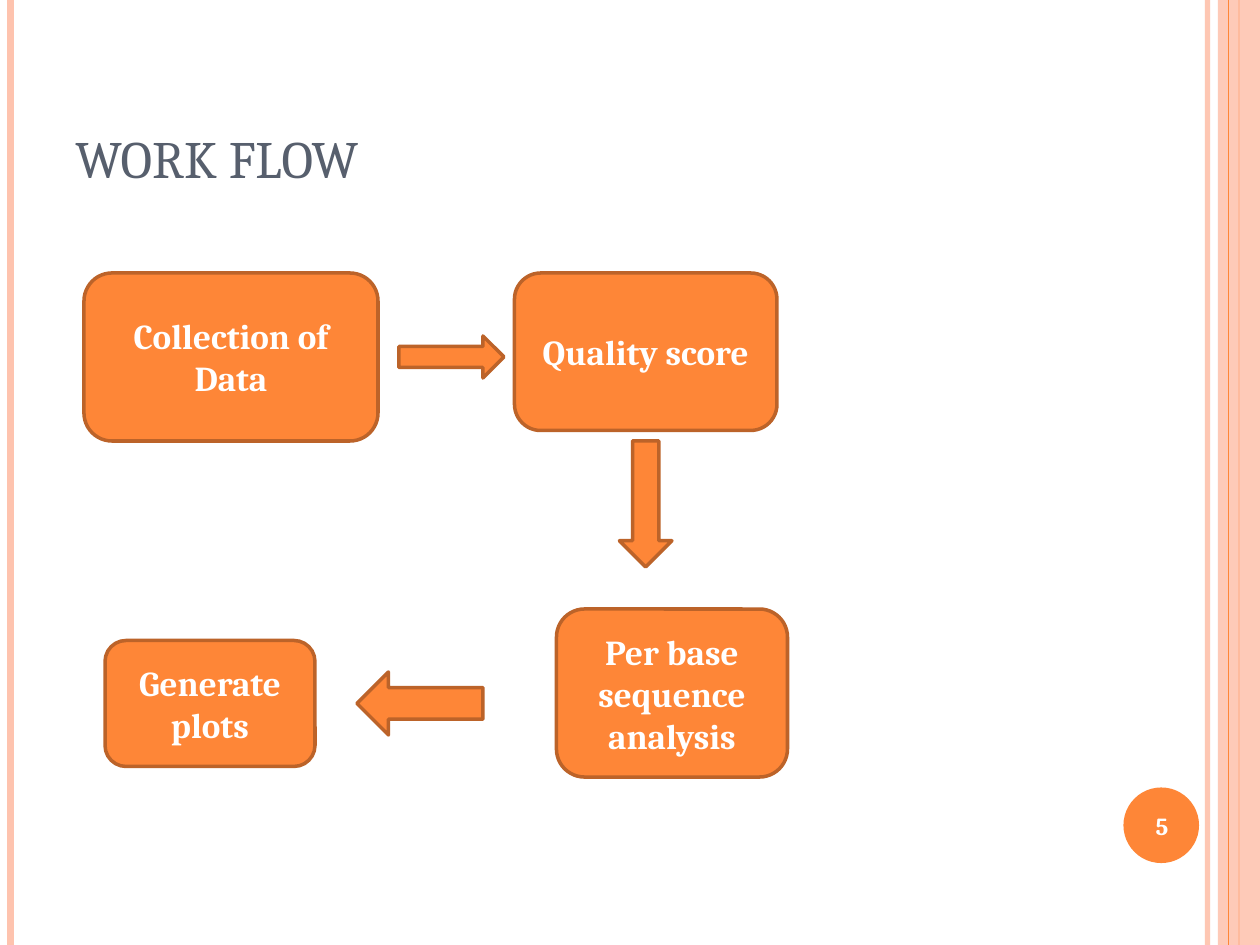
"""Build the work flow slide with its boxes, arrows and side stripes."""
from dataclasses import dataclass

from lxml import etree
from pptx import Presentation
from pptx.dml import color
from pptx.enum import shapes, text
from pptx.oxml import ns
from pptx.util import Pt

ORANGE, BROWN, PEACH = "FE8637", "BC6329", "FEC3AE"
WHITE, SLATE = "FFFFFF", "575F6D"
FONT = "Cambria"
WIDTH, HEIGHT = 720, 540
KIND = shapes.MSO_SHAPE
ALIGN, ANCHOR = text.PP_ALIGN, text.MSO_ANCHOR


@dataclass
class Stripe:
    x: float
    width: float
    colour: str
    opacity: int = 100


@dataclass
class Block:
    kind: KIND
    left: float
    top: float
    width: float
    height: float
    label: str = ""


BACK_STRIPES = [
    Stripe(690, 3, PEACH, 93),
    Stripe(6, 4.5, PEACH),
    Stripe(708, 1.5, ORANGE),
]
FRONT_STRIPE = Stripe(702, 0.75, ORANGE)
BAND = Block(KIND.RECTANGLE, 696, 0, 24, HEIGHT)
BADGE = Block(KIND.OVAL, 642, 450, 43.2, 43.2)
FLOW = [
    Block(KIND.ROUNDED_RECTANGLE, 48, 156, 168, 96, "Collection of Data"),
    Block(KIND.RIGHT_ARROW, 228, 192, 60, 24),
    Block(KIND.ROUNDED_RECTANGLE, 294, 156, 150, 90, "Quality score"),
    Block(KIND.ROUNDED_RECTANGLE, 318, 348, 132, 96, "Per base sequence analysis"),
    Block(KIND.DOWN_ARROW, 354, 252, 30, 72),
    Block(KIND.LEFT_ARROW, 204, 384, 72, 36),
    Block(KIND.ROUNDED_RECTANGLE, 60, 366, 120, 72, "Generate plots"),
]


def paint(fmt, colour: str, opacity: int = 100) -> None:
    fmt.solid()
    fmt.fore_color.rgb = color.RGBColor.from_string(colour)
    if opacity < 100:
        clr = fmt._xPr.find(ns.qn("a:solidFill"))[0]
        etree.SubElement(clr, ns.qn("a:alpha"), val=str(opacity * 1000))


def write(sp, label: str, size: float, colour: str, bold: bool, align, anchor) -> None:
    tf = sp.text_frame
    tf.text = label
    tf.word_wrap = True
    tf.vertical_anchor = anchor
    p = tf.paragraphs[0]
    p.alignment = align
    font = p.runs[0].font
    font.name, font.size, font.bold = FONT, Pt(size), bold
    paint(font.fill, colour)


def add_stripe(s, stripe: Stripe) -> None:
    x = Pt(stripe.x)
    sp = s.shapes.add_connector(shapes.MSO_CONNECTOR.STRAIGHT, x, 0, x, Pt(HEIGHT))
    sp.line.width = Pt(stripe.width)
    paint(sp.line.fill, stripe.colour, stripe.opacity)
    etree.SubElement(sp._element.spPr, ns.qn("a:effectLst"))


def add_block(s, block: Block, fill: str, line: str = "", opacity: int = 100) -> None:
    sp = s.shapes.add_shape(
        block.kind, Pt(block.left), Pt(block.top), Pt(block.width), Pt(block.height)
    )
    sp.shadow.inherit = False
    paint(sp.fill, fill, opacity)
    if line:
        paint(sp.line.fill, line)
        sp.line.width = Pt(2)
    else:
        sp.line.fill.background()
    if block.label:
        write(sp, block.label, 20, WHITE, True, ALIGN.CENTER, ANCHOR.MIDDLE)


def add_text(s, left: float, top: float, width: float, height: float, *style) -> None:
    sp = s.shapes.add_textbox(Pt(left), Pt(top), Pt(width), Pt(height))
    write(sp, *style)


def main() -> None:
    prs = Presentation()
    prs.slide_width, prs.slide_height = Pt(WIDTH), Pt(HEIGHT)
    s = prs.slides.add_slide(prs.slide_layouts[6])
    for stripe in BACK_STRIPES:
        add_stripe(s, stripe)
    add_block(s, BAND, PEACH, opacity=87)
    add_stripe(s, FRONT_STRIPE)
    add_block(s, BADGE, ORANGE)
    add_text(s, 36, 21.6, 588, 90, "WORK FLOW", 30, SLATE, False, ALIGN.LEFT, ANCHOR.BOTTOM)
    for block in FLOW:
        add_block(s, block, ORANGE, BROWN)
    add_text(s, 640, 451.5, 48, 41, "5", 14, WHITE, True, ALIGN.CENTER, ANCHOR.MIDDLE)
    prs.save("out.pptx")


if __name__ == "__main__":
    main()
